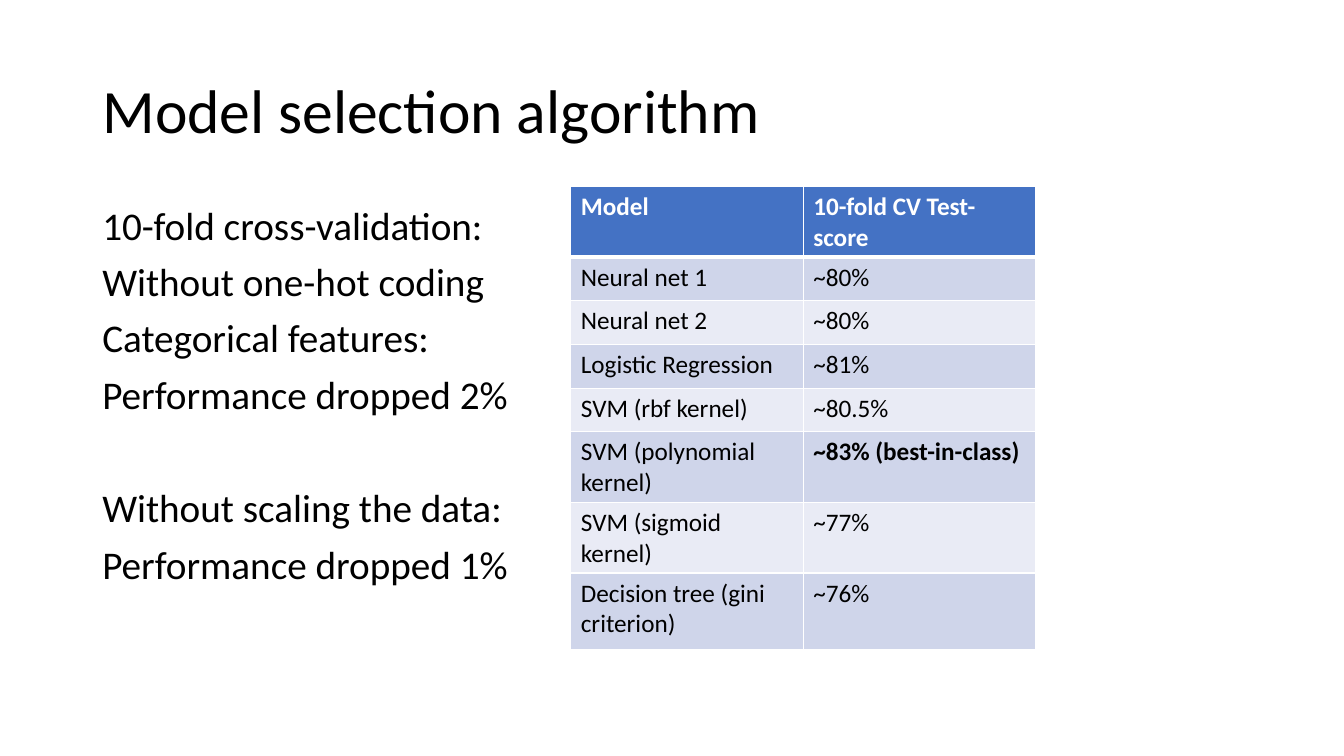
from dataclasses import dataclass

from lxml import etree
from pptx import Presentation
from pptx.dml.color import RGBColor
from pptx.enum.text import MSO_ANCHOR, MSO_AUTO_SIZE, PP_ALIGN
from pptx.oxml.ns import qn
from pptx.util import Pt

LEFT = PP_ALIGN.LEFT
MIDDLE = MSO_ANCHOR.MIDDLE
NO_AUTOFIT = MSO_AUTO_SIZE.NONE
TITLE_ONLY = 5


@dataclass(frozen=True)
class Theme:
    font: str = "Calibri"
    title_size: int = 44
    body_size: int = 28
    table_size: int = 18
    text: str = "000000"
    white: str = "FFFFFF"
    header_fill: str = "4472C4"
    band_fills: tuple = ("CFD5EA", "E9EBF5")
    line_spacing: float = 0.9
    paragraph_gap: int = 10
    group_gap: int = 51
    thin_border: int = 1
    header_border: int = 3


THEME = Theme()

FINDINGS = [
    ["10-fold cross-validation:", "Without one-hot coding",
     "Categorical features:", "Performance dropped 2%"],
    ["Without scaling the data:", "Performance dropped 1%"],
]
SCORES = [
    ("Model", "10-fold CV Test-score"),
    ("Neural net 1", "~80%"),
    ("Neural net 2", "~80%"),
    ("Logistic Regression", "~81%"),
    ("SVM (rbf kernel)", "~80.5%"),
    ("SVM (polynomial kernel)", "~83% (best-in-class)"),
    ("SVM (sigmoid kernel)", "~77%"),
    ("Decision tree (gini criterion)", "~76%"),
]
BEST_SCORE = "~83% (best-in-class)"
ROW_HEIGHT = 31.2
LAST_ROW_HEIGHT = 54.75


def format_runs(paragraph, size, color=THEME.text, bold=False):
    for run in paragraph.runs:
        run.font.name = THEME.font
        run.font.size = Pt(size)
        run.font.bold = bold
        run.font.color.rgb = RGBColor.from_string(color)


def add_title(slide, text, left, top, width, height):
    title = slide.shapes.title
    title.left, title.top = Pt(left), Pt(top)
    title.width, title.height = Pt(width), Pt(height)
    frame = title.text_frame
    frame.text = text
    frame.auto_size = NO_AUTOFIT
    frame.vertical_anchor = MIDDLE
    paragraph = frame.paragraphs[0]
    paragraph.alignment = LEFT
    paragraph.line_spacing = THEME.line_spacing
    format_runs(paragraph, THEME.title_size)


def add_findings(slide, groups, left, top, width, height):
    """Stack the groups of lines, with a wider gap before each later group."""
    box = slide.shapes.add_textbox(Pt(left), Pt(top), Pt(width), Pt(height))
    frame = box.text_frame
    frame.word_wrap = True
    frame.text = "\n".join(line for group in groups for line in group)
    group_starts = {group[0] for group in groups[1:]}
    for paragraph in frame.paragraphs:
        starts_group = paragraph.text in group_starts
        paragraph.line_spacing = THEME.line_spacing
        paragraph.space_before = Pt(THEME.group_gap if starts_group else THEME.paragraph_gap)
        format_runs(paragraph, THEME.body_size)


def set_borders(cell, top, bottom):
    """Draw white cell borders; must come before the cell's fill is set."""
    properties = cell._tc.get_or_add_tcPr()
    thin = THEME.thin_border
    for side, width in (("L", thin), ("R", thin), ("T", top), ("B", bottom)):
        line = etree.SubElement(properties, qn(f"a:ln{side}"), w=str(Pt(width)))
        fill = etree.SubElement(line, qn("a:solidFill"))
        etree.SubElement(fill, qn("a:srgbClr"), val=THEME.white)


def add_score_table(slide, rows, left, top, width):
    columns = len(rows[0])
    height = ROW_HEIGHT * (len(rows) - 1) + LAST_ROW_HEIGHT
    table = slide.shapes.add_table(
        len(rows), columns, Pt(left), Pt(top), Pt(width), Pt(height)).table
    for column in table.columns:
        column.width = Pt(width / columns)
    for index, values in enumerate(rows):
        is_header = index == 0
        is_last = index == len(rows) - 1
        table.rows[index].height = Pt(LAST_ROW_HEIGHT if is_last else ROW_HEIGHT)
        fill = THEME.header_fill if is_header else THEME.band_fills[(index - 1) % 2]
        color = THEME.white if is_header else THEME.text
        top_border = THEME.header_border if index == 1 else THEME.thin_border
        bottom_border = THEME.header_border if is_header else THEME.thin_border
        for cell, value in zip(table.rows[index].cells, values):
            set_borders(cell, top_border, bottom_border)
            cell.fill.solid()
            cell.fill.fore_color.rgb = RGBColor.from_string(fill)
            cell.text_frame.text = value
            format_runs(cell.text_frame.paragraphs[0], THEME.table_size, color,
                        bold=is_header or value == BEST_SCORE)


def build_model_selection(presentation):
    slide = presentation.slides.add_slide(presentation.slide_layouts[TITLE_ONLY])
    add_title(slide, "Model selection algorithm", 66, 28.75, 828, 104.4)
    add_findings(slide, FINDINGS, 66, 143.75, 828, 342.6)
    add_score_table(slide, SCORES, 407.7, 133.3, 332)


def main():
    presentation = Presentation()
    presentation.slide_width, presentation.slide_height = Pt(960), Pt(540)
    build_model_selection(presentation)
    presentation.save("out.pptx")


if __name__ == "__main__":
    main()
